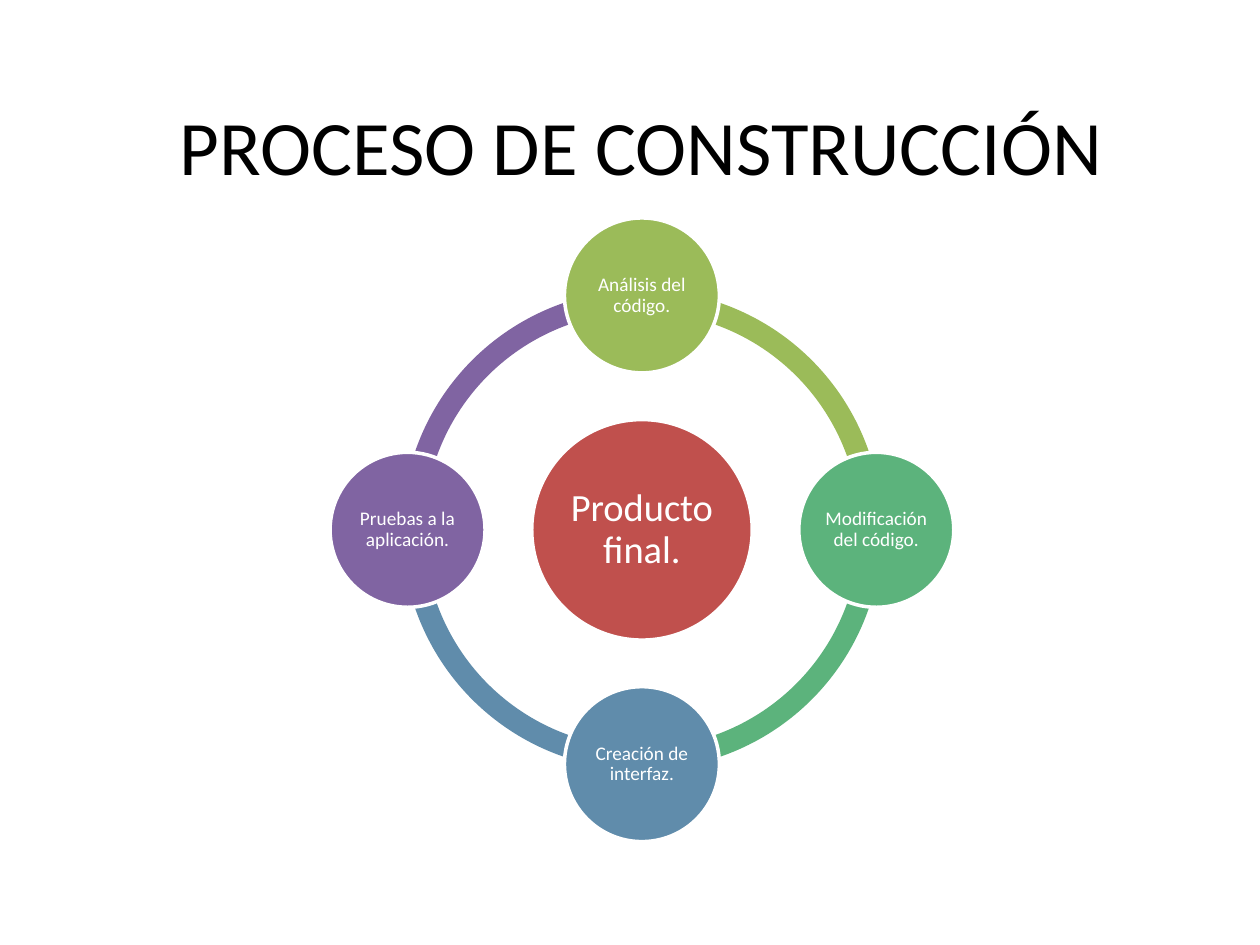
from collections import namedtuple
from math import cos, radians, sin

from pptx import Presentation
from pptx.dml.color import RGBColor
from pptx.enum.shapes import MSO_SHAPE as Shape
from pptx.enum.text import MSO_ANCHOR as Anchor, PP_ALIGN as Align
from pptx.util import Inches, Pt

BLACK = RGBColor(0x00, 0x00, 0x00)
WHITE = RGBColor(0xFF, 0xFF, 0xFF)
RED = RGBColor(0xC0, 0x50, 0x4D)
LIME = RGBColor(0x9B, 0xBB, 0x59)
GREEN = RGBColor(0x5C, 0xB3, 0x7C)
BLUE = RGBColor(0x60, 0x8C, 0xAB)
PURPLE = RGBColor(0x80, 0x64, 0xA2)

STEPS = [
    ("Análisis del código.", LIME),
    ("Modificación del código.", GREEN),
    ("Creación de interfaz.", BLUE),
    ("Pruebas a la aplicación.", PURPLE),
]

Box = namedtuple("Box", "left top width height")


def centred_box(x, y, size):
    return Box(x - size / 2, y - size / 2, size, size)


def write(shape, text, size, color, inset, line_spacing):
    frame = shape.text_frame
    frame_format = {
        "word_wrap": True,
        "vertical_anchor": Anchor.MIDDLE,
        "margin_left": Inches(inset),
        "margin_right": Inches(inset),
        "margin_top": Inches(inset),
        "margin_bottom": Inches(inset),
    }
    for name, value in frame_format.items():
        setattr(frame, name, value)
    para = frame.paragraphs[0]
    para.alignment = Align.CENTER
    para.line_spacing = line_spacing
    span = para.add_run()
    span.text = text
    for name, value in {"name": "Calibri", "size": Pt(size)}.items():
        setattr(span.font, name, value)
    span.font.color.rgb = color


def add_filled(page, kind, box, color):
    shape = page.shapes.add_shape(kind, *map(Inches, box))
    shape.shadow.inherit = False
    shape.fill.solid()
    shape.fill.fore_color.rgb = color
    return shape


def add_arc(page, box, start, color):
    arc = add_filled(page, Shape.BLOCK_ARC, box, color)
    arc.line.fill.background()
    for index, degrees in enumerate((start, (start + 90) % 360)):
        arc.adjustments[index] = degrees * 0.6
    arc.adjustments[2] = 0.046


def add_circle(page, box, text, size, color, inset):
    circle = add_filled(page, Shape.OVAL, box, color)
    circle.line.color.rgb = WHITE
    circle.line.width = Pt(2)
    write(circle, text, size, WHITE, inset, 0.9)


def add_title(page, box):
    title = page.shapes.add_textbox(*map(Inches, box))
    write(title, "PROCESO DE CONSTRUCCIÓN", 44, BLACK, 0.05, 1.0)


def add_cycle(page, box):
    node_size, ring_size, hub_size = 1.23, 3.81, 1.75
    x, y = box.left + box.width / 2, box.top + box.height / 2
    orbit = (box.width - node_size) / 2
    starts = [(270 + 90 * index) % 360 for index in range(len(STEPS))]

    for start, (text, color) in reversed(list(zip(starts, STEPS))):
        add_arc(page, centred_box(x, y, ring_size), start, color)
    add_circle(page, centred_box(x, y, hub_size), "Producto final.", 22, RED, 0.03)
    for start, (text, color) in zip(starts, STEPS):
        angle = radians(start)
        node = centred_box(x + orbit * cos(angle), y + orbit * sin(angle), node_size)
        add_circle(page, node, text, 11, color, 0.02)


def main():
    deck = Presentation()
    deck.slide_width, deck.slide_height = Inches(10), Inches(7.5)
    page = deck.slides.add_slide(deck.slide_layouts[6])
    add_title(page, Box(1.23, 0.6, 7.72, 1.1))
    add_cycle(page, Box(2.62, 1.73, 4.95, 4.95))
    deck.save("out.pptx")


if __name__ == "__main__":
    main()
